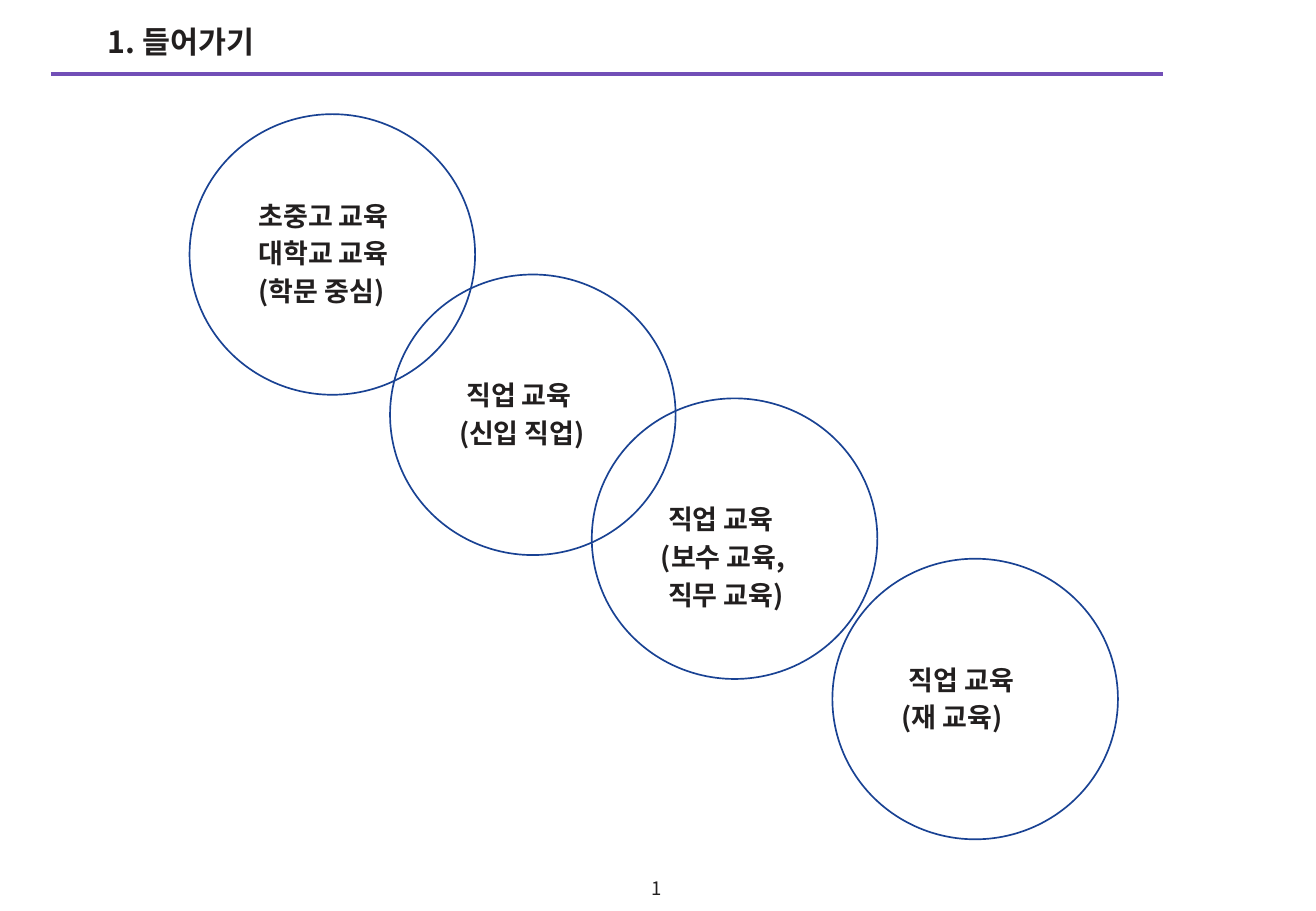
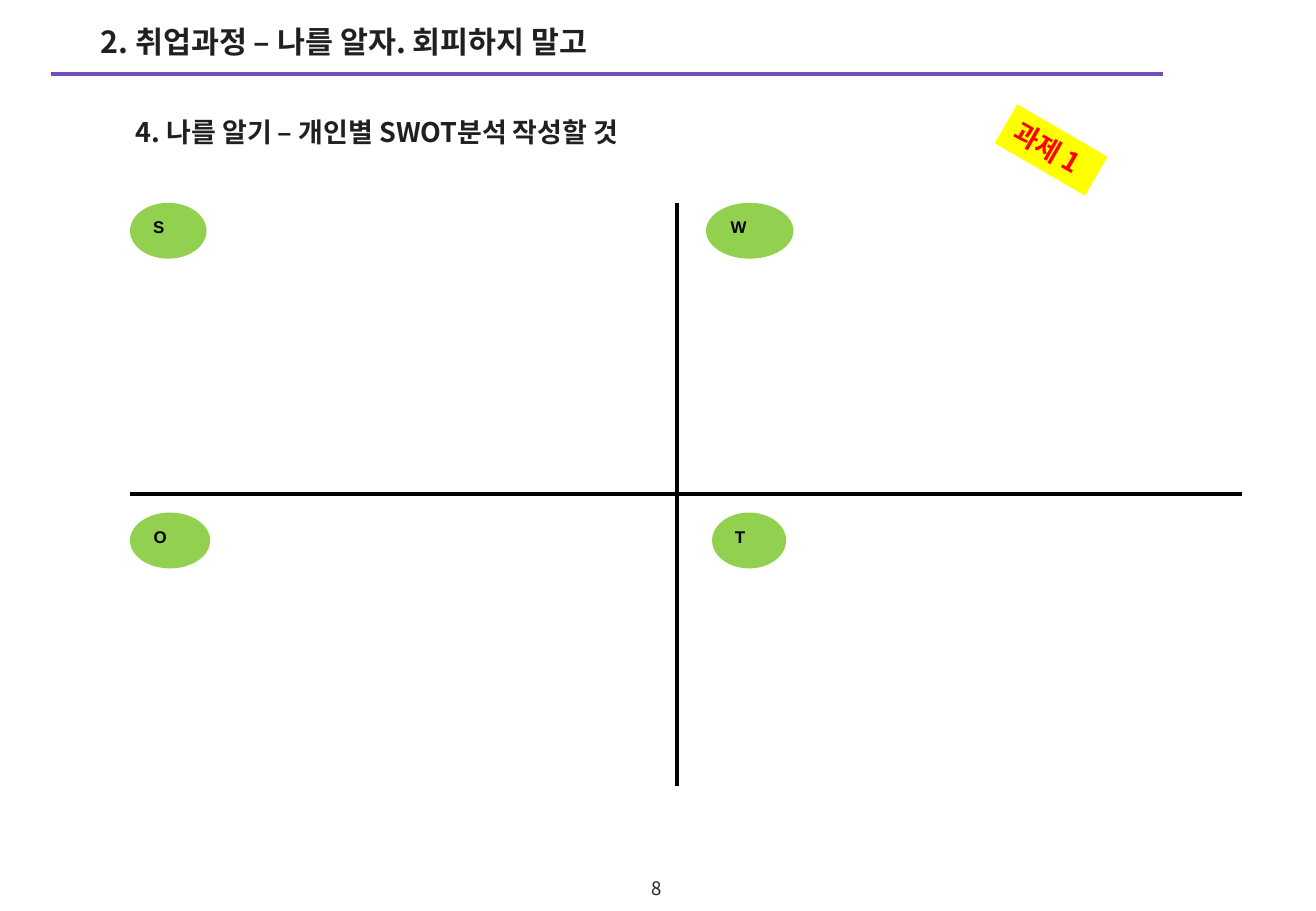
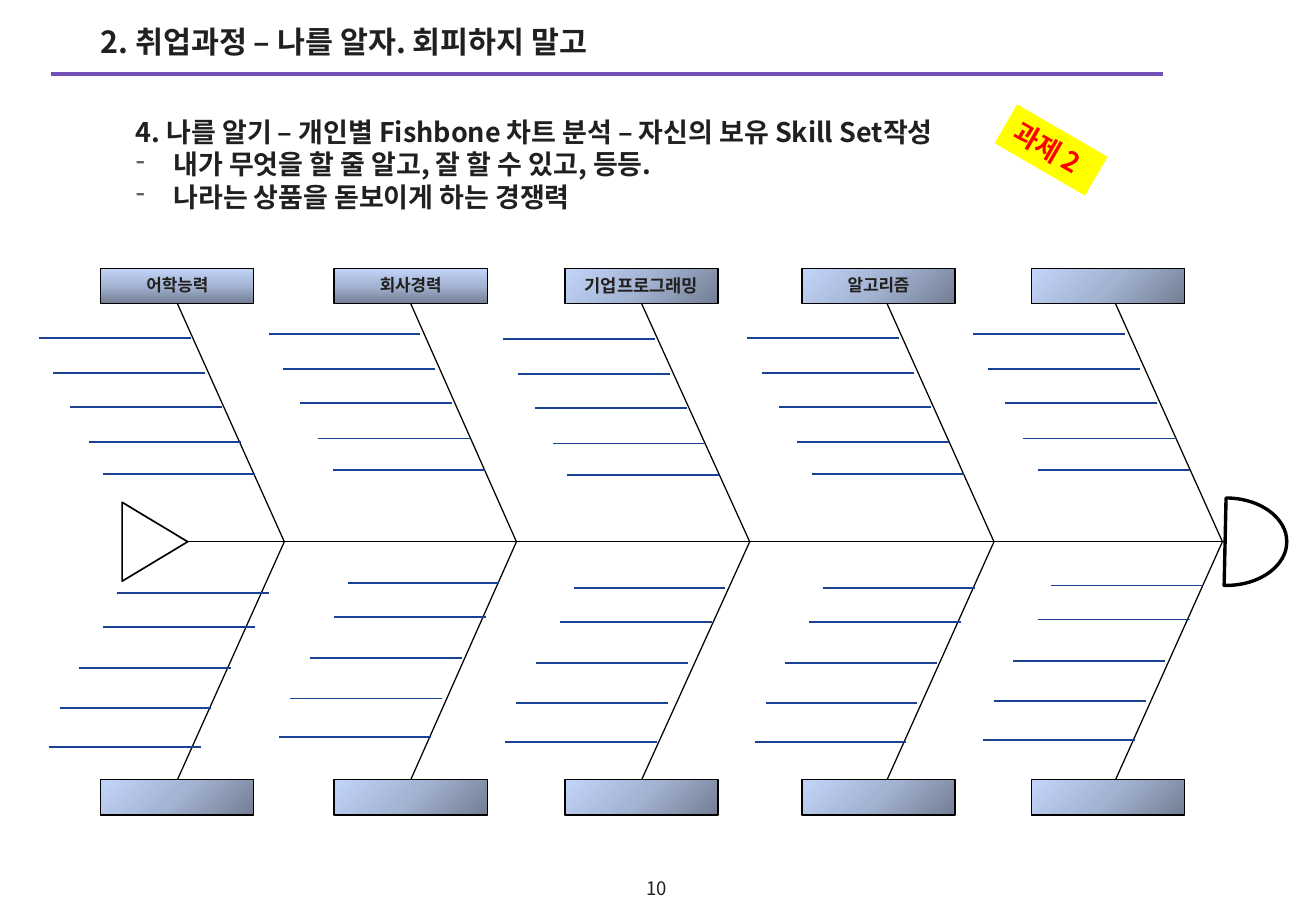
"""Builds three career-course slides: overlapping circles, a SWOT grid and a fishbone chart."""
from dataclasses import dataclass

from lxml import etree
from pptx import Presentation
from pptx.dml.color import RGBColor
from pptx.enum.shapes import MSO_CONNECTOR, MSO_SHAPE
from pptx.enum.text import MSO_ANCHOR, PP_ALIGN
from pptx.oxml.ns import qn
from pptx.util import Inches, Pt

STRAIGHT = MSO_CONNECTOR.STRAIGHT
RECT, OVAL = MSO_SHAPE.RECTANGLE, MSO_SHAPE.OVAL
CHORD, TRIANGLE = MSO_SHAPE.CHORD, MSO_SHAPE.ISOSCELES_TRIANGLE
TOP, MIDDLE = MSO_ANCHOR.TOP, MSO_ANCHOR.MIDDLE
LEFT, CENTER = PP_ALIGN.LEFT, PP_ALIGN.CENTER


@dataclass(frozen=True)
class Theme:
    font: str = "Noto Sans CJK KR"
    latin: str = "Arial"
    ink: str = "221F1F"
    black: str = "000000"
    white: str = "FFFFFF"
    rule: str = "724FB7"
    blue: str = "194293"
    green: str = "92D050"
    yellow: str = "FFFF00"
    red: str = "FF0000"
    bullet: str = "5F5F5F"
    gradient: tuple = ((0, "737E93"), (50, "A3B3D2"), (100, "C2D4F9"))
    title: float = 18
    body: float = 16
    page: float = 11
    label: float = 10


T = Theme()

INTRO_TITLE = "1. 들어가기"
JOB_TITLE = "2. 취업과정 – 나를 알자. 회피하지 말고"

SPACE = 0.06
CIRCLE_SIZE = (2.35, 2.31)
CIRCLES = [
    (1.56, 0.94, 0.65, 1.4, ["초중고 교육", "대학교 교육", "(학문 중심)"], [0, 0, 0]),
    (3.21, 2.26, 0.81, 1.34, ["직업 교육", "(신입 직업)"], [SPACE, 0]),
    (4.87, 3.28, 0.81, 1.34, ["직업 교육", "(보수 교육,", "직무 교육)"], [SPACE, 0, SPACE]),
    (6.85, 4.6, 0.81, 1.26, ["직업 교육", "(재 교육)"], [SPACE, 0]),
]

SWOT_HEADING = ["4. 나를 알기 – 개인별 SWOT분석 작성할 것"]
SWOT = [("S", 1.07, 1.67, 0.63), ("W", 5.81, 1.67, 0.72),
        ("O", 1.07, 4.22, 0.66), ("T", 5.86, 4.22, 0.61)]

FISH_HEADING = [
    "4. 나를 알기 – 개인별 Fishbone 차트 분석 – 자신의 보유 Skill Set작성",
    "내가 무엇을 할 줄 알고, 잘 할 수 있고, 등등.",
    "나라는 상품을 돋보이게 하는 경쟁력",
]
SPINE_Y, BONE_RUN, RIB_LENGTH = 4.46, 0.88, 1.25
BOX_W, BOX_H = 1.26, 0.29
UPPER_Y, LOWER_Y = 2.21, 6.42
BONES = [
    {"label": "어학능력", "size": 10, "angle": 270, "box": 0.83, "joint": 2.34,
     "upper": (0.32, 2.78), "lower": (0.96, 4.88)},
    {"label": "회사경력", "size": 10, "angle": 270, "box": 2.75, "joint": 4.25,
     "upper": (2.21, 2.75), "lower": (2.86, 4.8)},
    {"label": "기업프로그래밍", "size": 10.5, "angle": 225, "box": 4.65, "joint": 6.17,
     "upper": (4.14, 2.79), "lower": (4.72, 4.84)},
    {"label": "알고리즘", "size": 10, "angle": 225, "box": 6.6, "joint": 8.18,
     "upper": (6.15, 2.78), "lower": (6.77, 4.84)},
    {"label": "", "size": 10, "angle": 225, "box": 8.49, "joint": 10.06,
     "upper": (8.01, 2.75), "lower": (8.65, 4.82)},
]
RIB_STEPS = {
    "upper": [(0, 0), (0.12, 0.29), (0.26, 0.57), (0.41, 0.86), (0.53, 1.12)],
    "lower": [(0, 0), (-0.11, 0.28), (-0.31, 0.62), (-0.47, 0.95), (-0.56, 1.27)],
}


def rgb(color):
    return RGBColor.from_string(color)


def write(sp, lines, size, color=T.ink, bold=True, font=T.font, align=LEFT,
          anchor=TOP, wrap=True, gap=0.0, indents=(), bullets_from=None):
    tf = sp.text_frame
    tf.word_wrap, tf.vertical_anchor = wrap, anchor
    tf.text = "\n".join(lines)
    for i, p in enumerate(tf.paragraphs):
        p.alignment = align
        if i and gap:
            p.space_before = Pt(gap * size)
        pPr = p._p.get_or_add_pPr()
        if indents and indents[i]:
            pPr.set("marL", str(Inches(indents[i])))
        if bullets_from is not None and i >= bullets_from:
            pPr.set("marL", str(Inches(0.31)))
            pPr.set("indent", str(-Inches(0.31)))
            tint = etree.SubElement(pPr, qn("a:buClr"))
            etree.SubElement(tint, qn("a:srgbClr"), val=T.bullet)
            etree.SubElement(pPr, qn("a:buChar"), char="-")
        for r in p.runs:
            r.font.size, r.font.bold, r.font.name = Pt(size), bold, font
            r.font.color.rgb = rgb(color)
            etree.SubElement(r._r.get_or_add_rPr(), qn("a:ea"), typeface=font)


def add_text(s, box, lines, size, **style):
    write(s.shapes.add_textbox(*map(Inches, box)), lines, size, **style)


def add_line(s, start, end, color, width):
    line = s.shapes.add_connector(STRAIGHT, *map(Inches, (*start, *end)))
    line.line.color.rgb, line.line.width = rgb(color), Pt(width)
    etree.SubElement(line._element.spPr, qn("a:effectLst"))
    return line


def add_shape(s, kind, box, fill=None, line=None, width=1.0):
    sp = s.shapes.add_shape(kind, *map(Inches, box))
    sp.shadow.inherit = False
    if fill:
        sp.fill.solid()
        sp.fill.fore_color.rgb = rgb(fill)
    else:
        sp.fill.background()
    if line:
        sp.line.color.rgb, sp.line.width = rgb(line), Pt(width)
    else:
        sp.line.fill.background()
    return sp


def add_category(s, x, y, angle):
    sp = add_shape(s, RECT, (x, y, BOX_W, BOX_H), line=T.black, width=0.75)
    grad = etree.Element(qn("a:gradFill"), rotWithShape="1")
    stops = etree.SubElement(grad, qn("a:gsLst"))
    for pos, color in T.gradient:
        stop = etree.SubElement(stops, qn("a:gs"), pos=str(pos * 1000))
        etree.SubElement(stop, qn("a:srgbClr"), val=color)
    etree.SubElement(grad, qn("a:lin"), ang=str(angle * 60000), scaled="1")
    spPr = sp._element.spPr
    spPr.replace(spPr.find(qn("a:noFill")), grad)
    return sp


def add_badge(s, text):
    sp = add_shape(s, RECT, (8.22, 1.05, 0.86, 0.37), T.yellow)
    sp.rotation = 30.1
    write(sp, [text], T.body, T.red, wrap=False)


def new_slide(prs, title, page, indent=0.0):
    s = prs.slides.add_slide(prs.slide_layouts[6])
    add_line(s, (0.42, 0.61), (9.57, 0.61), T.rule, 2.25)
    add_text(s, (0.73, 0.14, 8.9, 0.48), [title], T.title, indents=[indent])
    add_text(s, (5.1, 7.15, 0.61, 0.33), [page], T.page, bold=False,
             align=CENTER, anchor=MIDDLE)
    return s


def add_heading(s, lines):
    add_text(s, (1.02, 0.9, 8.78, 0.52), lines, T.body, bullets_from=1)


def build_intro(prs):
    s = new_slide(prs, INTRO_TITLE, "1", SPACE)
    for x, y, drop, width, lines, indents in CIRCLES:
        add_shape(s, OVAL, (x, y, *CIRCLE_SIZE), line=T.blue)
        add_text(s, (x + 0.47, y + drop, width, 0.03 + 0.33 * len(lines)), lines,
                 T.body, gap=0.2, indents=indents)


def build_swot(prs):
    s = new_slide(prs, JOB_TITLE, "8")
    add_heading(s, SWOT_HEADING)
    add_line(s, (1.07, 4.07), (10.22, 4.07), T.black, 2.25)
    add_line(s, (5.57, 6.47), (5.57, 1.67), T.black, 2.25)
    for letter, x, y, width in SWOT:
        sp = add_shape(s, OVAL, (x, y, width, 0.46), T.green)
        write(sp, [letter], T.label, T.black, font=T.latin)
    add_badge(s, "과제 1")


def add_bone(s, bone, side):
    upper = side == "upper"
    box = add_category(s, bone["box"], UPPER_Y if upper else LOWER_Y,
                       bone["angle"] if upper else 225)
    if upper and bone["label"]:
        write(box, [bone["label"]], bone["size"], align=CENTER)
    tip = bone["joint"] - BONE_RUN
    edge = UPPER_Y + BOX_H if upper else LOWER_Y
    line = add_line(s, (bone["joint"], SPINE_Y), (tip, edge), T.black, 0.75)
    if abs(tip - bone["box"] - BOX_W / 2) < 0.03:
        line.end_connect(box, 2 if upper else 0)
    x, y = bone[side]
    for dx, dy in RIB_STEPS[side]:
        add_line(s, (x + dx, y + dy), (x + dx + RIB_LENGTH, y + dy), T.blue, 1)


def build_fishbone(prs):
    s = new_slide(prs, JOB_TITLE, "10")
    add_heading(s, FISH_HEADING)
    add_line(s, (1.53, SPINE_Y), (10.07, SPINE_Y), T.black, 0.75)
    for bone in BONES:
        for side in RIB_STEPS:
            add_bone(s, bone, side)
    head = add_shape(s, CHORD, (9.59, 4.1, 1, 0.72), T.white, T.black, 2)
    head.adjustments[0], head.adjustments[1] = 52.51, 162
    head._element.spPr.find(qn("a:xfrm")).set("flipH", "1")
    tail = add_shape(s, TRIANGLE, (0.95, 4.19, 0.65, 0.54), line=T.black)
    tail.rotation = 90
    add_badge(s, "과제 2")


def main():
    prs = Presentation()
    prs.slide_width, prs.slide_height = Inches(10.83), Inches(7.5)
    for build in (build_intro, build_swot, build_fishbone):
        build(prs)
    prs.save("out.pptx")


if __name__ == "__main__":
    main()
